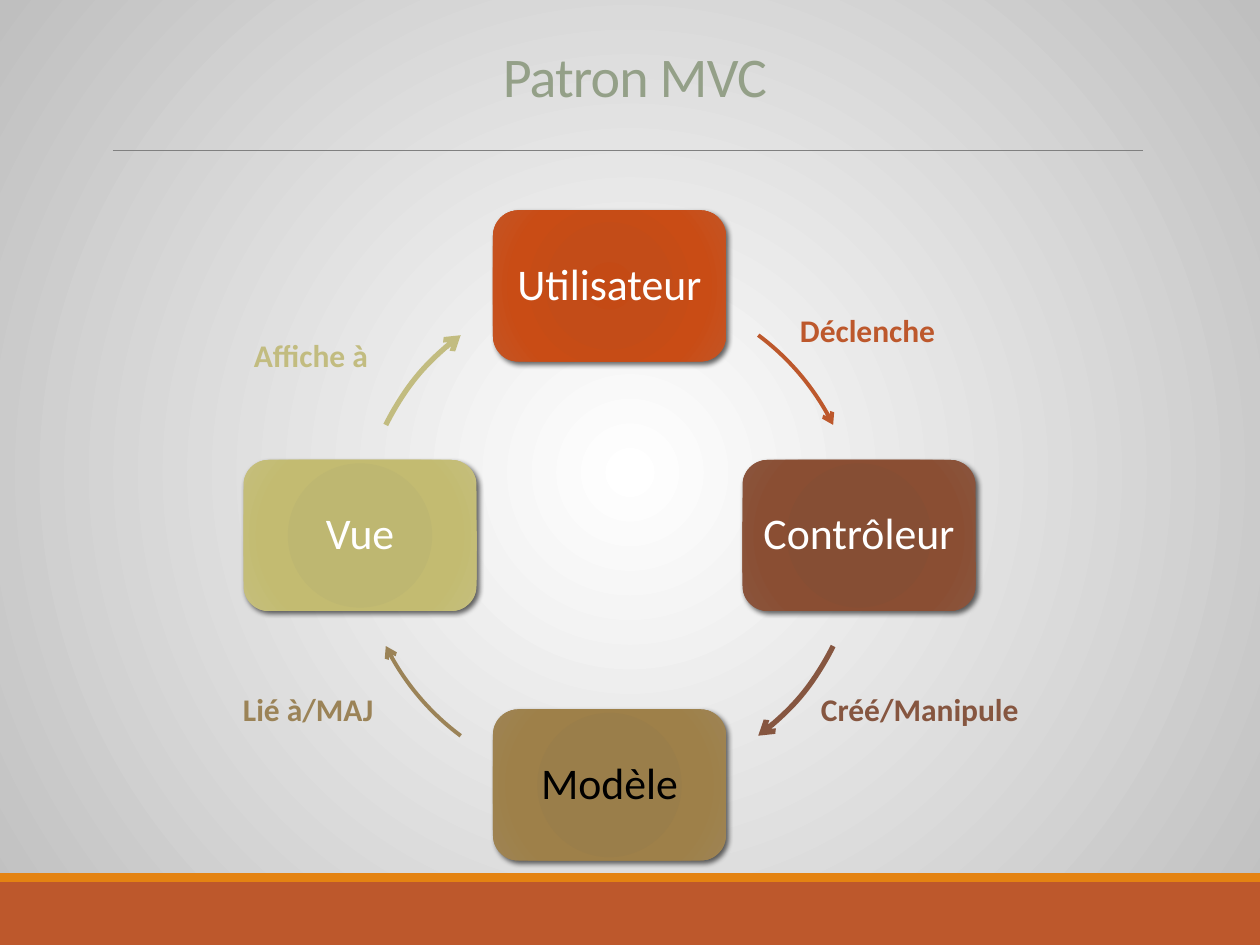
from lxml.etree import SubElement
from pptx import Presentation
from pptx.dml.color import RGBColor
from pptx.enum.shapes import MSO_CONNECTOR, MSO_SHAPE
from pptx.enum.text import MSO_ANCHOR, PP_ALIGN
from pptx.oxml.ns import qn
from pptx.util import Emu, Pt

W, H = 1260, 945
COLORS = {
    "title": "94A088", "rule": "808080", "band": "BD582C", "stripe": "E48312",
    "white": "FFFFFF", "black": "000000", "edge": "BFBFBF",
    "user": "BD582C", "controller": "865640", "model": "9B8357", "view": "C2BC80",
}
GRADIENTS = {
    "user": ("C44A15", "C34C18", "C94C15", "C45525"),
    "controller": ("874C32", "864E34", "8A4E33", "8A553D"),
    "model": ("9A7D48", "9A7E4A", "9E8049", "9E8454"),
    "view": ("BEB76E", "BEB771", "C3BB71", "C5BF7D"),
}
NODES = [
    ("user", "Utilisateur", "white", 0, -1),
    ("controller", "Contrôleur", "white", 1, 0),
    ("model", "Modèle", "black", 0, 1),
    ("view", "Vue", "white", -1, 0),
]
ARROWS = [("user", 306.6, 2.25), ("controller", 26.3, 3), ("model", 126.6, 2.25), ("view", 206.3, 3)]
LABELS = [
    ("user", "Déclenche", (787, 305, 189, 50)),
    ("controller", "Créé/Manipule", (808, 684, 378, 50)),
    ("model", "Lié à/MAJ", (230, 684, 189, 50)),
    ("view", "Affiche à", (241, 330, 189, 50)),
]


def px(*values):
    """Turn pixel lengths into EMU."""
    return [Emu(round(v * 914400 / 126)) for v in values]


def rgb(name):
    """Return a named colour."""
    return RGBColor.from_string(COLORS[name])


def write(sp, text, size, color, bold=False, align=PP_ALIGN.LEFT,
          anchor=MSO_ANCHOR.TOP, spacing=1.0, track=0, inset=(13, 6)):
    """Put one formatted paragraph in a shape."""
    tf = sp.text_frame
    tf.word_wrap = True
    tf.vertical_anchor = anchor
    tf.margin_left = tf.margin_right = px(inset[0])[0]
    tf.margin_top = tf.margin_bottom = px(inset[1])[0]
    p = tf.paragraphs[0]
    p.alignment, p.line_spacing = align, spacing
    r = p.add_run()
    r.text = text
    r.font.name, r.font.size, r.font.bold = "Calibri", Pt(size), bold
    r.font.color.rgb = rgb(color)
    if track:
        r._r.get_or_add_rPr().set("spc", str(track))


def set_radial(fill, element, stops, focus):
    """Give a fill a circular gradient with the given stops and focus."""
    fill.gradient()
    grad = next(element.iter(qn("a:gradFill")))
    for child in list(grad):
        grad.remove(child)
    gs_list = SubElement(grad, qn("a:gsLst"))
    for pos, color in stops:
        gs = SubElement(gs_list, qn("a:gs"), pos=str(pos * 1000))
        SubElement(gs, qn("a:srgbClr"), val=color)
    path = SubElement(grad, qn("a:path"), path="circle")
    SubElement(path, qn("a:fillToRect"), {side: str(focus * 1000) for side in "ltrb"})


def add_plain(slide, shape, box):
    """Add a preset shape without shadow."""
    sp = slide.shapes.add_shape(shape, *px(*box))
    sp.shadow.inherit = False
    return sp


def add_frame(slide, box):
    """Draw the background, footer bands and title rule."""
    x, y, w, h = box
    set_radial(slide.background.fill, slide._element,
               [(0, COLORS["white"]), (100, COLORS["edge"])], 50)
    for color, top, height in (("band", 882, 63), ("stripe", 873, 9)):
        sp = add_plain(slide, MSO_SHAPE.RECTANGLE, (x, y + top, w, height))
        sp.fill.solid()
        sp.fill.fore_color.rgb = rgb(color)
        sp.line.fill.background()
    rule = slide.shapes.add_connector(
        MSO_CONNECTOR.STRAIGHT, *px(x + 113, y + 150, x + 1143, y + 150))
    rule.line.color.rgb = rgb("rule")
    rule.line.width = Pt(0.5)
    SubElement(rule._element.spPr, qn("a:effectLst"))


def add_title(slide, box):
    """Place and format the title."""
    sp = slide.shapes.title
    sp.left, sp.top, sp.width, sp.height = px(*box)
    write(sp, "Patron MVC", 32, "title", align=PP_ALIGN.CENTER,
          anchor=MSO_ANCHOR.BOTTOM, spacing=0.85, track=-50)


def add_node(slide, key, text, color, box):
    """Draw one shaded rounded box of the cycle."""
    sp = add_plain(slide, MSO_SHAPE.ROUNDED_RECTANGLE, box)
    set_radial(sp.fill, sp._element, zip((0, 34, 70, 100), GRADIENTS[key]), 100)
    sp.line.fill.background()
    effects = sp._element.spPr.find(qn("a:effectLst"))
    shadow = SubElement(effects, qn("a:outerShdw"), blurRad=str(Pt(3)), dist=str(Pt(2)),
                        dir=str(45 * 60000), rotWithShape="0")
    clr = SubElement(shadow, qn("a:srgbClr"), val=COLORS["black"])
    SubElement(clr, qn("a:alpha"), val="60000")
    write(sp, text, 25, color, align=PP_ALIGN.CENTER, anchor=MSO_ANCHOR.MIDDLE,
          spacing=0.9, inset=(12, 12))


def add_arrow(slide, key, start, width, box):
    """Draw one arc with an arrowhead on the circle in the box."""
    sp = add_plain(slide, MSO_SHAPE.ARC, box)
    sp.adjustments[0] = start * 0.6
    sp.adjustments[1] = (start + 27.1) * 0.6
    sp.fill.background()
    sp.line.color.rgb = rgb(key)
    sp.line.width = Pt(width)
    SubElement(sp.line._get_or_add_ln(), qn("a:tailEnd"), type="arrow")


def add_cycle(slide, box):
    """Draw the four nodes and arrows around the circle in the box."""
    x, y, size, _ = box
    radius = size / 2
    node_w, node_h = 233, 151
    for key, text, color, dx, dy in NODES:
        left = x + radius * (1 + dx) - node_w / 2
        top = y + radius * (1 + dy) - node_h / 2
        add_node(slide, key, text, color, (left, top, node_w, node_h))
    for key, start, width in ARROWS:
        add_arrow(slide, key, start, width, box)


def add_labels(slide):
    """Name each arrow in its own colour."""
    for key, text, box in LABELS:
        write(slide.shapes.add_textbox(*px(*box)), text, 18, key, bold=True)


def main():
    """Build and save the slide."""
    prs = Presentation()
    prs.slide_width, prs.slide_height = px(W, H)
    slide = prs.slides.add_slide(prs.slide_layouts[5])
    add_frame(slide, (0, 0, W, H))
    add_title(slide, (10, 31, 1250, 84))
    add_cycle(slide, (360, 286, 499, 499))
    add_labels(slide)
    prs.save("out.pptx")


if __name__ == "__main__":
    main()
